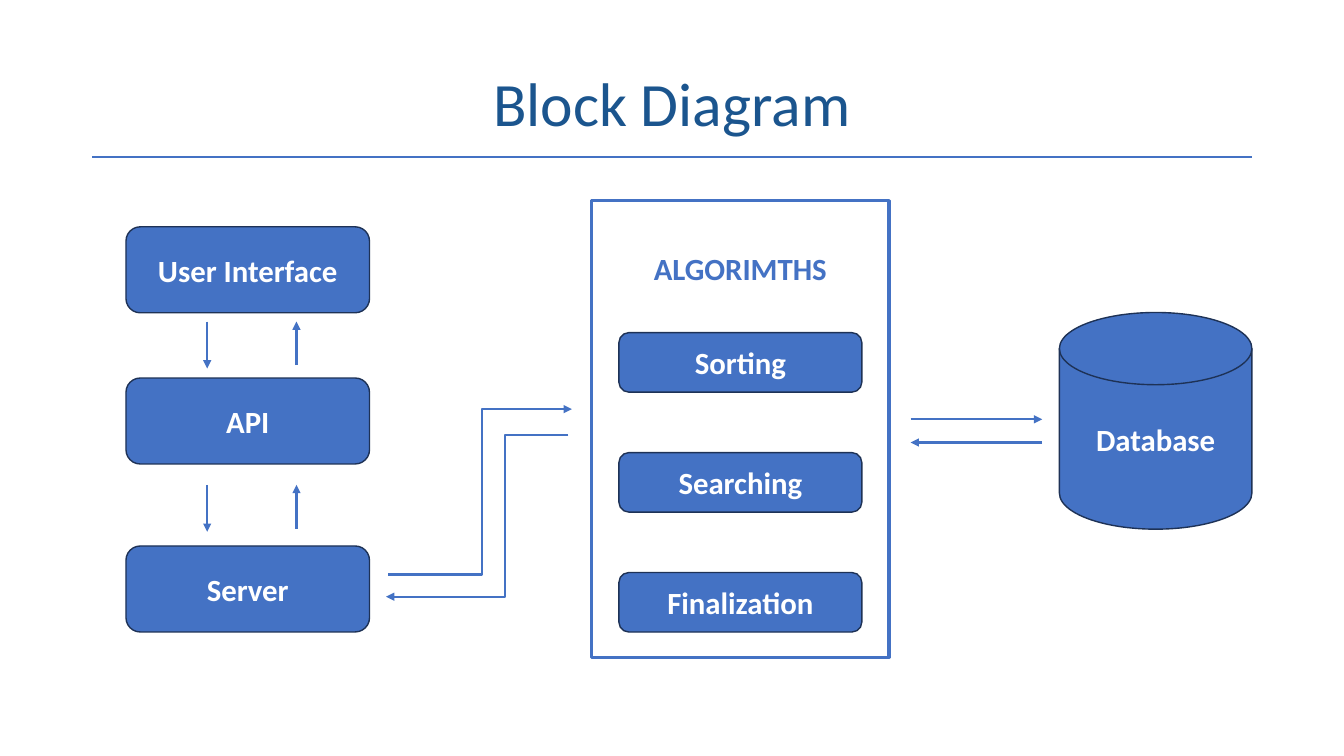
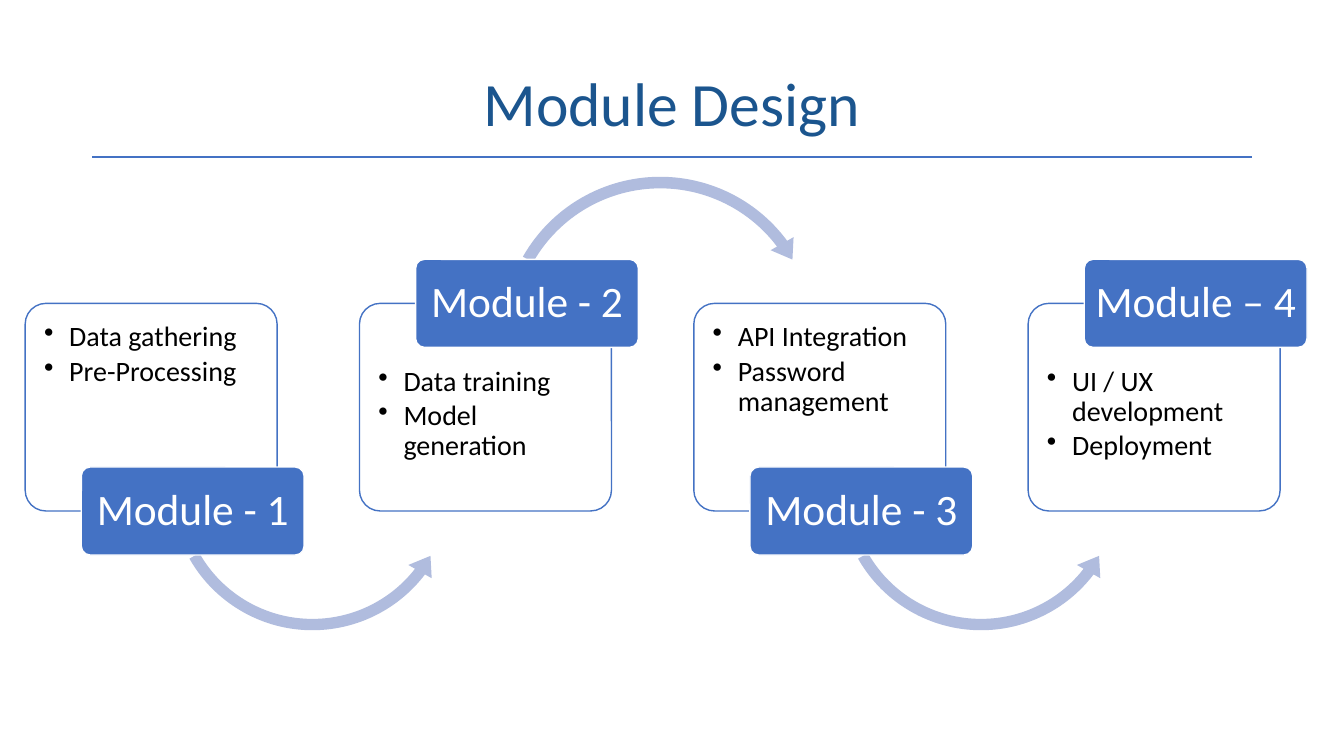
import pptx
import pptx.dml.color
import pptx.enum.shapes
import pptx.enum.text
import pptx.oxml
import pptx.oxml.ns
import pptx.util

SHAPE = pptx.enum.shapes.MSO_SHAPE
LINK = pptx.enum.shapes.MSO_CONNECTOR
ALIGN = pptx.enum.text.PP_ALIGN
MIDDLE = pptx.enum.text.MSO_ANCHOR.MIDDLE
TOP = pptx.enum.text.MSO_ANCHOR.TOP

COLS, ROWS = 40, 22.5
CELL = pptx.util.Inches(40 / 3) / COLS
FONT = "Calibri"
BLUE, NAVY, EDGE = "4472C4", "1B558E", "1E3256"
PALE, WHITE, BLACK = "B0BCDE", "FFFFFF", "000000"


def grid(*cells):
    """Turn grid cells into slide lengths."""
    return [pptx.util.Emu(round(c * CELL)) for c in cells]


def paint(fmt, color):
    """Apply a hex colour to a font, a line or a fill, or clear it."""
    fill = getattr(fmt, "fill", fmt)
    if color is None:
        fill.background()
    else:
        fill.solid()
        fill.fore_color.rgb = pptx.dml.color.RGBColor.from_string(color)


def write(tf, text, size, color, bold=False, align=ALIGN.CENTER,
          anchor=MIDDLE, inset=0.08, spacing=1.0):
    """Fill a text frame and give all its text one style."""
    tf.text = text
    tf.word_wrap = True
    tf.vertical_anchor = anchor
    tf.margin_left = tf.margin_right = pptx.util.Inches(inset)
    tf.margin_top = tf.margin_bottom = pptx.util.Inches(inset)
    for p in tf.paragraphs:
        p.alignment = align
        p.line_spacing = spacing
        for r in p.runs:
            r.font.name = FONT
            r.font.size = pptx.util.Pt(size)
            r.font.bold = bold
            paint(r.font, color)


def add_label(s, box, text, size, color, **style):
    """Add a text box."""
    sp = s.shapes.add_textbox(*grid(*box))
    write(sp.text_frame, text, size, color, **style)
    return sp


def add_figure(s, kind, box, fill, line, width=1, adj=()):
    """Add a preset shape with its fill, outline and adjustments."""
    sp = s.shapes.add_shape(kind, *grid(*box))
    sp.shadow.inherit = False
    paint(sp.fill, fill)
    paint(sp.line, line)
    if line:
        sp.line.width = pptx.util.Pt(width)
    for i, value in enumerate(adj):
        sp.adjustments[i] = value
    return sp


def add_block(s, box, text, kind=SHAPE.ROUNDED_RECTANGLE):
    """Add a blue block with a bold white caption."""
    sp = add_figure(s, kind, box, BLUE, EDGE)
    write(sp.text_frame, text, 22, WHITE, bold=True)


def add_link(s, start, end, bend=None, arrow=True):
    """Add a straight link, or an elbow bent at a share of its width."""
    kind = LINK.STRAIGHT if bend is None else LINK.ELBOW
    c = s.shapes.add_connector(kind, *grid(*start, *end))
    paint(c.line, BLUE)
    c.line.width = pptx.util.Pt(1.5)
    qn = pptx.oxml.ns.qn
    sub = pptx.oxml.xmlchemy.OxmlElement
    props = c._element.spPr
    if arrow:
        tail = sub("a:tailEnd")
        tail.set("type", "triangle")
        props.find(qn("a:ln")).append(tail)
    props.append(sub("a:effectLst"))
    if bend is not None:
        guide = sub("a:gd")
        guide.set("name", "adj1")
        guide.set("fmla", f"val {round(bend * 100000)}")
        props.find(qn("a:prstGeom")).find(qn("a:avLst")).append(guide)


def add_header(s, title):
    """Add the title and the rule below it."""
    x, y, w, h = 2.75, 1.65, 34.5, 3.03
    add_label(s, (x, y, w, h), title, 44, NAVY, spacing=0.9)
    add_link(s, (x, y + h), (x + w, y + h), arrow=False)


def add_layers(s, box):
    """Stack the application layers with arrows both ways between them."""
    x, y, w, h = box
    layers = [("User Interface", 0), ("API", 4.5), ("Server", 9.5)]
    for name, top in layers:
        add_block(s, (x, y + top, w, 2.56), name)
    for top in (2.82, 7.68):
        down, up = x + w / 3, x + w * 0.7
        add_link(s, (down, y + top), (down, y + top + 1.4))
        add_link(s, (up, y + top + 1.3), (up, y + top))


def add_algorithms(s, box):
    """Frame a heading and the evenly spaced algorithm steps."""
    x, y, w, h = box
    add_figure(s, SHAPE.RECTANGLE, box, None, BLUE, 2.25)
    for i, name in enumerate(["Sorting", "Searching", "Finalization"]):
        add_block(s, (x + 0.81, y + 3.93 + i * 3.57, w - 1.62, 1.77), name)
    add_label(s, (x + 1, y + 1.3, w - 2, 1.4), "ALGORIMTHS", 22, BLUE,
              bold=True)


def add_module(s, box, name, items, raised, arrow):
    """Add a card with bullets, a tag on its edge and an arrow onward."""
    x, y, w, h = box
    tag_w, tag_h = 6.63, 2.62
    add_figure(s, SHAPE.ROUNDED_RECTANGLE, box, WHITE, BLUE, adj=[0.1])
    top = 1.47 if raised else 0.15
    sp = add_label(s, (x + 0.14, y + top, 7.2, 4.56), "\n".join(items), 20,
                   BLACK, align=ALIGN.LEFT, anchor=TOP, inset=0.14,
                   spacing=0.9)
    for p in sp.text_frame.paragraphs:
        p.space_after = pptx.util.Pt(3)
        props = p._p.get_or_add_pPr()
        indent = pptx.util.Inches(0.25)
        props.set("marL", str(indent))
        props.set("indent", str(-indent))
        bullet = pptx.oxml.xmlchemy.OxmlElement("a:buChar")
        bullet.set("char", "•")
        props.append(bullet)
    if arrow and raised:
        add_figure(s, SHAPE.CIRCULAR_ARROW, (x + 4.03, y - 3.99, 9.84, 9.84),
                   PALE, None, adj=[0.035, 4.282, 193.963, 125.755, 0.04])
    elif arrow:
        add_figure(s, SHAPE.LEFT_CIRCULAR_ARROW,
                   (x + 4.11, y + 1.08, 8.88, 8.88), PALE, None,
                   adj=[0.038, 4.787, 22.542, 90.245, 0.045])
    edge = y if raised else y + h
    tag = add_figure(s, SHAPE.ROUNDED_RECTANGLE,
                     (x + 1.67, edge - tag_h / 2, tag_w, tag_h),
                     BLUE, WHITE, adj=[0.1])
    write(tag.text_frame, name, 31, WHITE, spacing=0.9)


def build_block_diagram(s):
    """Build the slide of layers, algorithms and database."""
    add_header(s, "Block Diagram")
    add_layers(s, (3.75, 6.75, 7.25, 12.06))
    add_algorithms(s, (17.61, 5.97, 8.85, 13.59))
    add_block(s, (31.53, 9.3, 5.73, 6.45), "Database",
              SHAPE.FLOWCHART_MAGNETIC_DISK)
    add_link(s, (27.1, 12.48), (31.02, 12.48))
    add_link(s, (31.02, 13.17), (27.1, 13.17))
    add_link(s, (11.55, 17.1), (17.02, 12.18), bend=0.51)
    add_link(s, (16.92, 12.96), (11.49, 17.76), bend=0.35)


def build_module_design(s):
    """Build the slide of the chain of modules."""
    add_header(s, "Module Design")
    modules = [
        ("Module - 1", ["Data gathering", "Pre-Processing"]),
        ("Module - 2", ["Data training", "Model generation"]),
        ("Module - 3", ["API Integration", "Password management"]),
        ("Module – 4", ["UI / UX development", "Deployment"]),
    ]
    for i, (name, items) in enumerate(modules):
        add_module(s, (0.75 + i * 9.95, 9.03, 7.5, 6.18), name, items,
                   raised=i % 2 == 1, arrow=i < len(modules) - 1)


def main():
    """Build and save the presentation."""
    prs = pptx.Presentation()
    prs.slide_width, prs.slide_height = grid(COLS, ROWS)
    for build in (build_block_diagram, build_module_design):
        build(prs.slides.add_slide(prs.slide_layouts[6]))
    prs.save("out.pptx")


if __name__ == "__main__":
    main()
